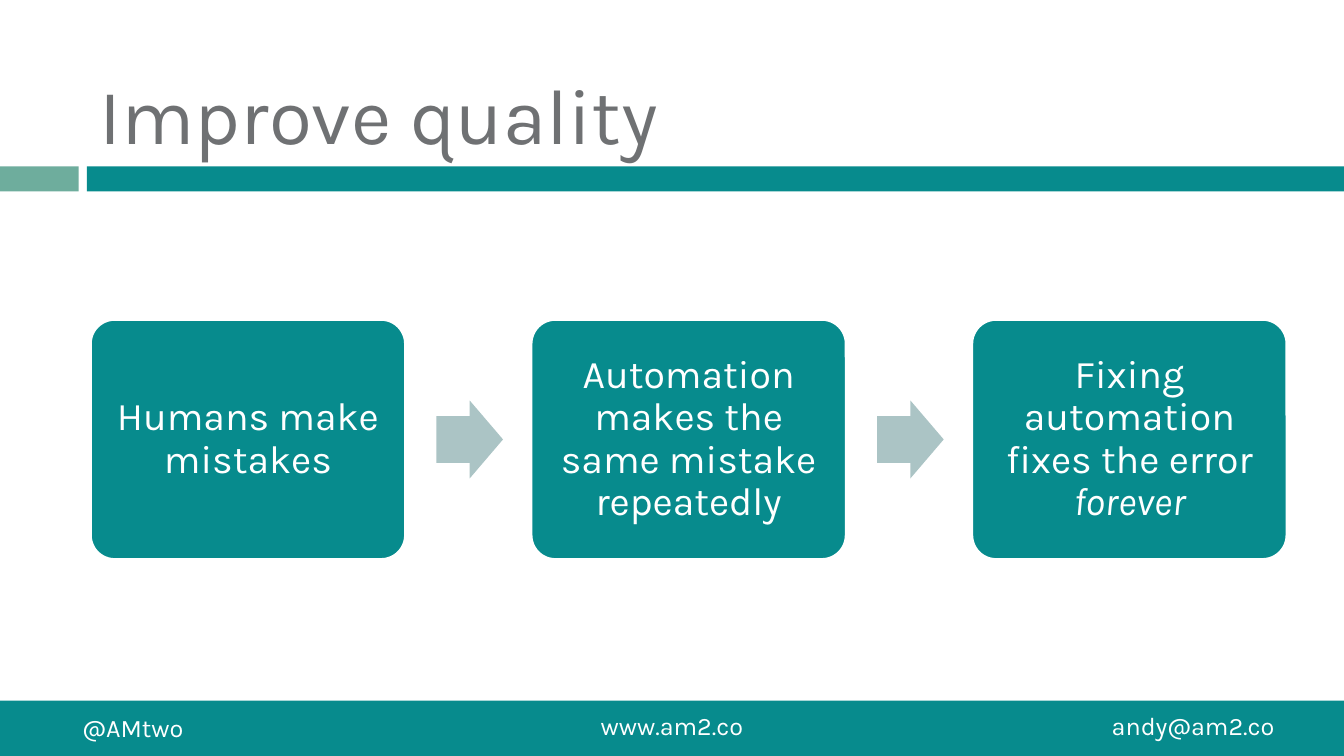
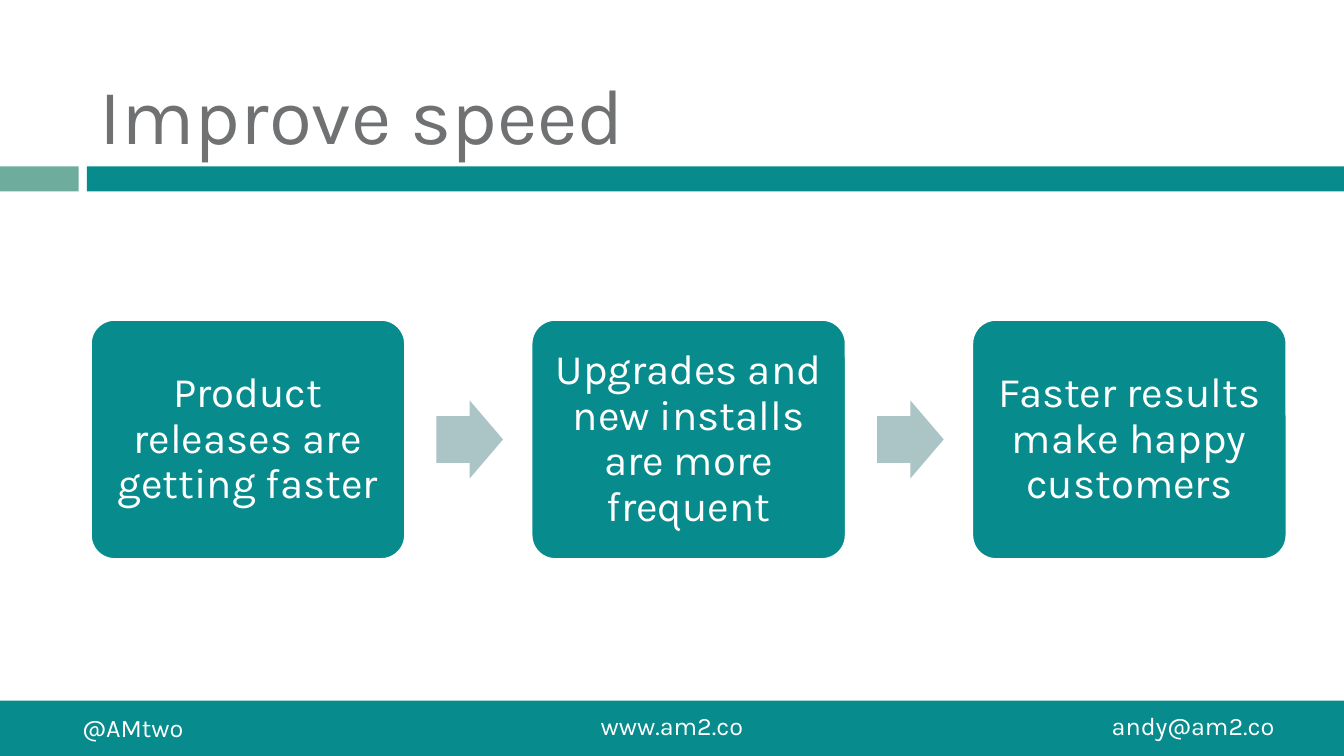
from pptx import Presentation
from pptx.dml.color import RGBColor
from pptx.enum.shapes import MSO_SHAPE
from pptx.enum.text import MSO_ANCHOR, MSO_AUTO_SIZE, PP_ALIGN
from pptx.util import Pt

RECT, ROUNDED, ARROW = MSO_SHAPE.RECTANGLE, MSO_SHAPE.ROUNDED_RECTANGLE, MSO_SHAPE.RIGHT_ARROW
LEFT, CENTER = PP_ALIGN.LEFT, PP_ALIGN.CENTER
TOP, MIDDLE, BOTTOM = MSO_ANCHOR.TOP, MSO_ANCHOR.MIDDLE, MSO_ANCHOR.BOTTOM
NO_AUTOFIT = MSO_AUTO_SIZE.NONE

FONT = "Karla"
TEAL, SAGE, MIST, GRAY, WHITE = "078B8D", "6EAD9D", "ABC4C5", "6F7173", "FFFFFF"
SLIDE_W, SLIDE_H = 960, 540
TITLE_ONLY = 5

BAND_TOP, BAND_H = 118.8, 18
FOOTER_TOP = 500.4
FOOTER = [
    ("@AMtwo", 51.84, 505.5, 93.6, LEFT),
    ("www.am2.co", 413.3, 504, 133.2, CENTER),
    ("andy@am2.co", 787, 504, 133.2, LEFT),
]

STEP_LEFT, STEP_TOP, STEP_W, STEP_H, STEP_PITCH = 64.8, 228.4, 224.6, 171, 314.8
ARROW_W, ARROW_H, ARROW_GAP = 47.5, 55.6, 22.4

SLIDES = [
    ("Improve quality", 28, [
        [("Humans make mistakes", False)],
        [("Automation makes the same mistake repeatedly", False)],
        [("Fixing automation fixes the error ", False), ("forever", True)],
    ]),
    ("Improve speed", 30, [
        [("Product releases are getting faster", False)],
        [("Upgrades and new installs are more frequent", False)],
        [("Faster results make happy customers", False)],
    ]),
]


def color(hex_text):
    """Return the colour for a hex string."""
    return RGBColor.from_string(hex_text)


def write(tf, runs, size=18, fill=WHITE, align=LEFT, anchor=TOP, spacing=1.0, inset=None):
    """Fill a text frame with one paragraph of (text, italic) runs."""
    tf.word_wrap = True
    tf.auto_size = NO_AUTOFIT
    tf.vertical_anchor = anchor
    if inset is not None:
        tf.margin_left = tf.margin_right = tf.margin_top = tf.margin_bottom = Pt(inset)
    p = tf.paragraphs[0]
    p.alignment = align
    p.line_spacing = spacing
    for text, italic in runs:
        r = p.add_run()
        r.text = text
        r.font.name = FONT
        r.font.size = Pt(size)
        r.font.italic = italic
        r.font.color.rgb = color(fill)


def add_shape(s, kind, left, top, width, height, fill, line=None, adjustments=()):
    """Add a flat filled shape, outlined only if a line colour is given."""
    sp = s.shapes.add_shape(kind, Pt(left), Pt(top), Pt(width), Pt(height))
    sp.shadow.inherit = False
    sp.fill.solid()
    sp.fill.fore_color.rgb = color(fill)
    if line:
        sp.line.color.rgb = color(line)
        sp.line.width = Pt(1.5)
    else:
        sp.line.fill.background()
    for i, value in enumerate(adjustments):
        sp.adjustments[i] = value
    return sp


def add_frame(s, title):
    """Add the title, the bands and the footer that all slides share."""
    add_shape(s, RECT, 0, BAND_TOP, 56.2, BAND_H, SAGE)
    add_shape(s, RECT, 62, BAND_TOP, SLIDE_W - 62, BAND_H, TEAL)
    add_shape(s, RECT, 0, FOOTER_TOP, SLIDE_W, SLIDE_H - FOOTER_TOP, TEAL)
    for text, left, top, width, align in FOOTER:
        box = s.shapes.add_textbox(Pt(left), Pt(top), Pt(width), Pt(28.8))
        write(box.text_frame, [(text, False)], align=align)
    sp = s.shapes.title
    sp.left, sp.top, sp.width, sp.height = Pt(64), Pt(12.24), Pt(856), Pt(105.84)
    write(sp.text_frame, [(title, False)], size=56, fill=GRAY, anchor=BOTTOM)


def add_process(s, steps, size):
    """Add a row of rounded steps with an arrow between neighbours."""
    for i, runs in enumerate(steps):
        left = STEP_LEFT + i * STEP_PITCH
        if i:
            add_shape(s, ARROW, left - STEP_PITCH + STEP_W + ARROW_GAP,
                      STEP_TOP + (STEP_H - ARROW_H) / 2, ARROW_W, ARROW_H,
                      MIST, adjustments=(0.6, 0.5))
        sp = add_shape(s, ROUNDED, left, STEP_TOP, STEP_W, STEP_H, TEAL,
                       line=WHITE, adjustments=(0.1,))
        write(sp.text_frame, runs, size=size, align=CENTER, anchor=MIDDLE,
              spacing=0.9, inset=0.3 * size)


def main():
    """Build and save the presentation."""
    prs = Presentation()
    prs.slide_width, prs.slide_height = Pt(SLIDE_W), Pt(SLIDE_H)
    for title, size, steps in SLIDES:
        s = prs.slides.add_slide(prs.slide_layouts[TITLE_ONLY])
        add_frame(s, title)
        add_process(s, steps, size)
    prs.save("out.pptx")


if __name__ == "__main__":
    main()
